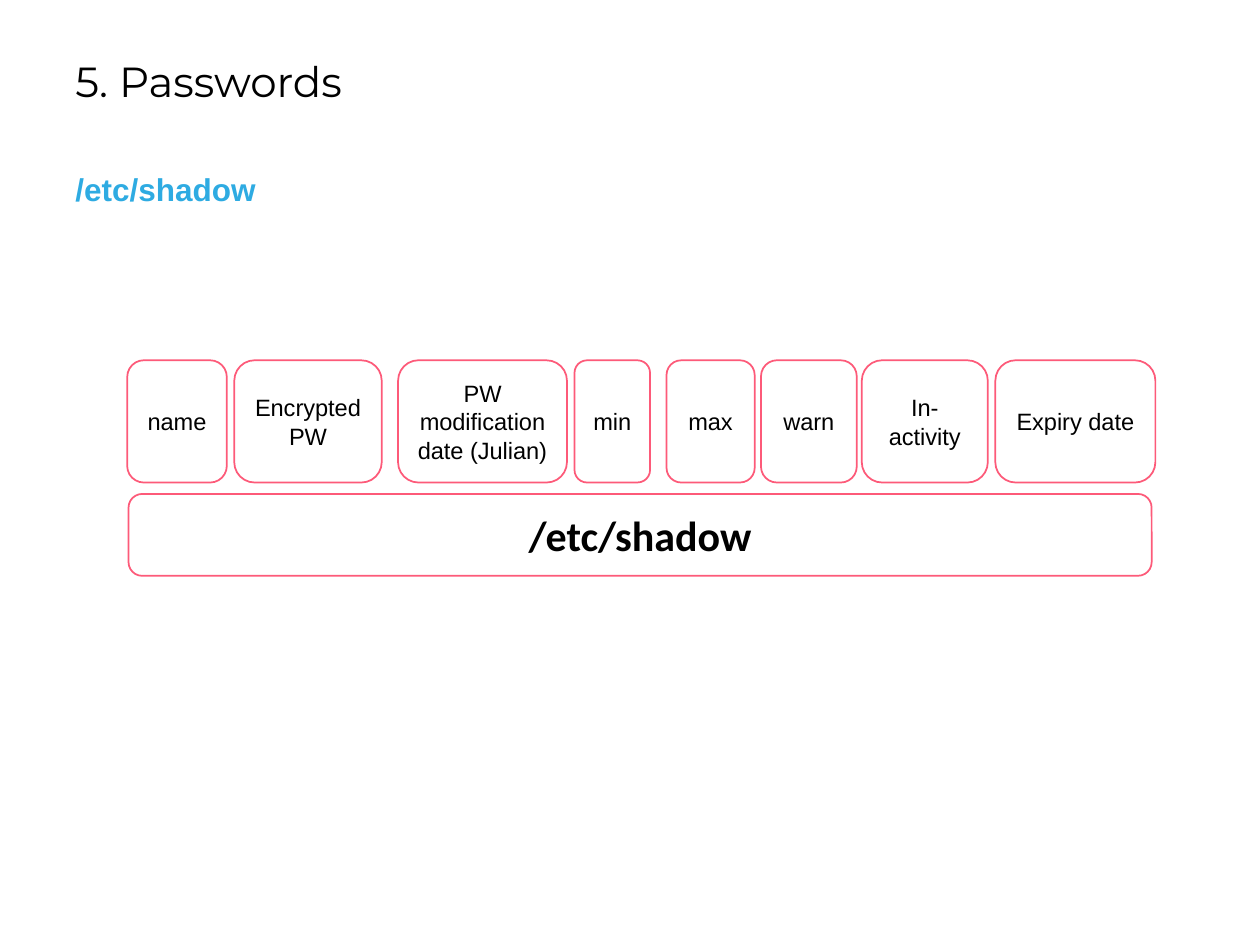
from pptx import Presentation
from pptx.dml.color import RGBColor
from pptx.enum.shapes import MSO_SHAPE
from pptx.enum.text import MSO_ANCHOR, PP_ALIGN
from pptx.util import Inches, Pt

COLORS = {"text": "000000", "heading": "2EABE2", "box": "FFFFFF", "outline": "FD5A79"}

FIELD_TOP, FIELD_HEIGHT = 2.86, 0.97

# Fields of a shadow entry: label, left, width
FIELDS = [
    ("name", 1.01, 0.79),
    ("Encrypted\nPW", 1.86, 1.17),
    ("PW modification date (Julian)", 3.16, 1.34),
    ("min", 4.56, 0.6),
    ("max", 5.29, 0.7),
    ("warn", 6.04, 0.76),
    ("In-activity", 6.84, 1),
    ("Expiry date", 7.9, 1.27),
]


def color(name):
    return RGBColor.from_string(COLORS[name])


def write(frame, text, size, font, text_color="text", bold=False, align=PP_ALIGN.LEFT):
    frame.word_wrap = True
    frame.text = text
    for paragraph in frame.paragraphs:
        paragraph.alignment = align
        paragraph.font.size = Pt(size)
        paragraph.font.name = font
        paragraph.font.bold = bold
        paragraph.font.color.rgb = color(text_color)


def add_heading(slide, text, top, height, size, font, **style):
    heading = slide.shapes.add_textbox(Inches(0.5), Inches(top), Inches(9.02), Inches(height))
    write(heading.text_frame, text, size, font, **style)


def add_box(slide, text, left, top, width, height, size=13.5, font="Arial", bold=False):
    box = slide.shapes.add_shape(MSO_SHAPE.ROUNDED_RECTANGLE, Inches(left), Inches(top),
                                 Inches(width), Inches(height))
    box.shadow.inherit = False
    box.fill.solid()
    box.fill.fore_color.rgb = color("box")
    box.line.color.rgb = color("outline")
    box.line.width = Pt(1)
    box.text_frame.vertical_anchor = MSO_ANCHOR.MIDDLE
    write(box.text_frame, text, size, font, bold=bold, align=PP_ALIGN.CENTER)


def main():
    presentation = Presentation()
    presentation.slide_width = Inches(10)
    presentation.slide_height = Inches(7.5)
    slide = presentation.slides.add_slide(presentation.slide_layouts[6])

    # Headings
    add_heading(slide, "5. Passwords", 0.39, 0.5, 24, "Montserrat")
    add_heading(slide, "/etc/shadow", 1.3, 0.4, 18, "Arial", text_color="heading", bold=True)

    # Row of entry fields
    for label, left, width in FIELDS:
        add_box(slide, label, left, FIELD_TOP, width, FIELD_HEIGHT)

    # File that holds the fields
    add_box(slide, "/etc/shadow", 1.02, 3.92, 8.12, 0.65, size=24, font="Calibri", bold=True)

    presentation.save("out.pptx")


if __name__ == "__main__":
    main()
